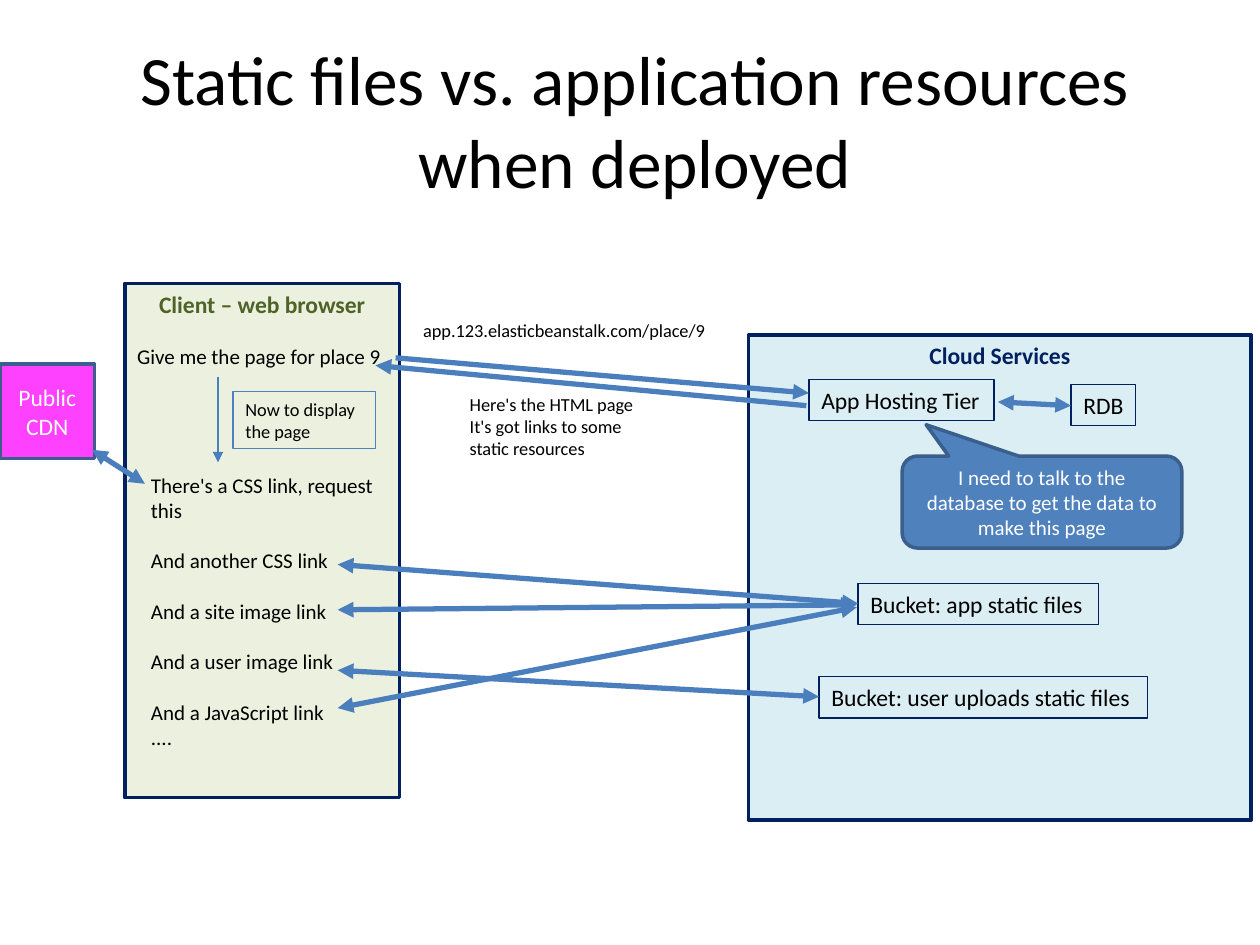
from collections import namedtuple

from lxml import etree
from pptx import Presentation
from pptx import util as u
from pptx.dml.color import RGBColor
from pptx.enum import shapes, text
from pptx.oxml import ns

Box = namedtuple("Box", "left top width height")

COLORS = {
    "black": "000000",
    "white": "FFFFFF",
    "navy": "002060",
    "green": "4F6228",
    "pale_green": "EBF1DE",
    "pale_blue": "DBEEF4",
    "blue": "4F81BD",
    "arrow": "4B7EBC",
    "outline": "3A5F8C",
    "pink": "FE40FF",
}
RECT = shapes.MSO_SHAPE.RECTANGLE
CALLOUT = shapes.MSO_SHAPE.ROUNDED_RECTANGULAR_CALLOUT
LEFT, CENTER = text.PP_ALIGN.LEFT, text.PP_ALIGN.CENTER
TOP, MIDDLE = text.MSO_ANCHOR.TOP, text.MSO_ANCHOR.MIDDLE


def rgb(name):
    return RGBColor.from_string(COLORS[name])


def inside(box, left, top, width, height):
    return Box(box.left + left, box.top + top, width, height)


def point(box, x, y):
    return box.left + x, box.top + y


def set_text(sp, lines, size, color="black", bold=False, align=LEFT,
             anchor=TOP, wrap=True):
    tf = sp.text_frame
    tf.text = lines
    tf.word_wrap = wrap
    tf.vertical_anchor = anchor
    for p in tf.paragraphs:
        p.alignment = align
        for r in p.runs:
            r.font.name = "Calibri"
            r.font.size = u.Pt(size)
            r.font.bold = bold
            r.font.color.rgb = rgb(color)


def add_text(s, box, lines, size, **style):
    sp = s.shapes.add_textbox(*map(u.Inches, box))
    set_text(sp, lines, size, **style)
    return sp


def add_box(s, box, lines, size, line, weight=0.75, fill=None, kind=RECT, **style):
    sp = s.shapes.add_shape(kind, *map(u.Inches, box))
    sp.shadow.inherit = False
    if fill:
        sp.fill.solid()
        sp.fill.fore_color.rgb = rgb(fill)
    else:
        sp.fill.background()
    sp.line.color.rgb = rgb(line)
    sp.line.width = u.Pt(weight)
    set_text(sp, lines, size, **style)
    return sp


def add_arrow(s, start, end, weight=3, both=False):
    cxn = s.shapes.add_connector(shapes.MSO_CONNECTOR.STRAIGHT,
                                 *map(u.Inches, start + end))
    cxn.line.color.rgb = rgb("arrow")
    cxn.line.width = u.Pt(weight)
    ln = cxn.line._get_or_add_ln()
    for tag in ("a:headEnd", "a:tailEnd") if both else ("a:tailEnd",):
        etree.SubElement(ln, ns.qn(tag), type="triangle")
    etree.SubElement(cxn._element.spPr, ns.qn("a:effectLst"))


def add_title(s, box):
    add_text(s, box, "Static files vs. application resources when deployed", 39.6,
             align=CENTER, anchor=MIDDLE)


def add_client(s, box):
    add_box(s, box, "Client – web browser", 13.5, "navy", 2, "pale_green",
            color="green", bold=True, align=CENTER)
    add_text(s, inside(box, 0, 0.43, 2.16, 0.3), "Give me the page for place 9", 12)
    add_arrow(s, point(box, 0.74, 0.74), point(box, 0.74, 1.42), 0.75)
    add_box(s, inside(box, 0.86, 0.86, 1.13, 0.45), "Now to display the page",
            10.5, "blue")
    requests = ["There's a CSS link, request this", "And another CSS link",
                "And a site image link", "And a user image link",
                "And a JavaScript link", "...."]
    sp = add_text(s, inside(box, 0.11, 1.45, 1.97, 2.32), "\n".join(requests), 12)
    for p in sp.text_frame.paragraphs[1:-1]:
        p.space_before = u.Pt(14.4)


def add_services(s, box):
    add_box(s, box, "Cloud Services", 13.5, "navy", 2, "pale_blue",
            color="navy", bold=True, align=CENTER)
    labels = [
        (0.48, 0.35, 1.47, "App Hosting Tier"),
        (2.56, 0.39, 0.51, "RDB"),
        (0.87, 1.97, 1.91, "Bucket: app static files"),
        (0.56, 2.71, 2.61, "Bucket: user uploads static files"),
    ]
    for left, top, width, label in labels:
        add_box(s, inside(box, left, top, width, 0.33), label, 13.5, "navy", wrap=False)
    add_arrow(s, point(box, 1.98, 0.53), point(box, 2.56, 0.56), both=True)
    sp = add_box(s, inside(box, 1.22, 0.96, 2.22, 0.73),
                 "I need to talk to the database to get the data to make this page",
                 12, "outline", 2, "blue", CALLOUT,
                 color="white", align=CENTER, anchor=MIDDLE)
    for i, value in enumerate((-0.414, -0.841, 0.167)):
        sp.adjustments[i] = value


def add_cdn(s, box, client):
    add_box(s, box, "Public CDN", 13.5, "outline", 2, "pink",
            color="white", align=CENTER, anchor=MIDDLE)
    add_arrow(s, point(box, 0.73, 0.68), point(client, 0.16, 1.59), both=True)


def add_traffic(s, box, client, services):
    add_text(s, inside(box, 0.09, 0, 2.59, 0.28),
             "app.123.elasticbeanstalk.com/place/9", 10.5)
    add_text(s, inside(box, 0.46, 0.59, 1.7, 0.63),
             "Here's the HTML page\nIt's got links to some static resources", 10.5)
    add_arrow(s, point(client, 2.15, 0.59), point(services, 0.48, 0.46))
    add_arrow(s, point(services, 0.46, 0.56), point(client, 1.99, 0.65))
    links = [
        (2.23, 0.87, 2.13),
        (2.59, 0.86, 2.14),
        (3.07, 0.56, 2.87),
        (3.37, 0.86, 2.16),
    ]
    for client_y, bucket_x, bucket_y in links:
        add_arrow(s, point(client, 1.69, client_y),
                  point(services, bucket_x, bucket_y), both=True)


def main():
    prs = Presentation()
    prs.slide_width, prs.slide_height = u.Inches(10), u.Inches(7.5)
    s = prs.slides.add_slide(prs.slide_layouts[6])
    client = Box(0.99, 2.25, 2.18, 4.08)
    services = Box(5.94, 2.66, 3.99, 3.85)
    add_title(s, Box(0.73, 0.4, 8.62, 1.09))
    add_client(s, client)
    add_services(s, services)
    add_cdn(s, Box(0, 2.89, 0.75, 0.75), client)
    add_traffic(s, Box(3.17, 2.48, 2.77, 3.14), client, services)
    prs.save("out.pptx")


if __name__ == "__main__":
    main()
